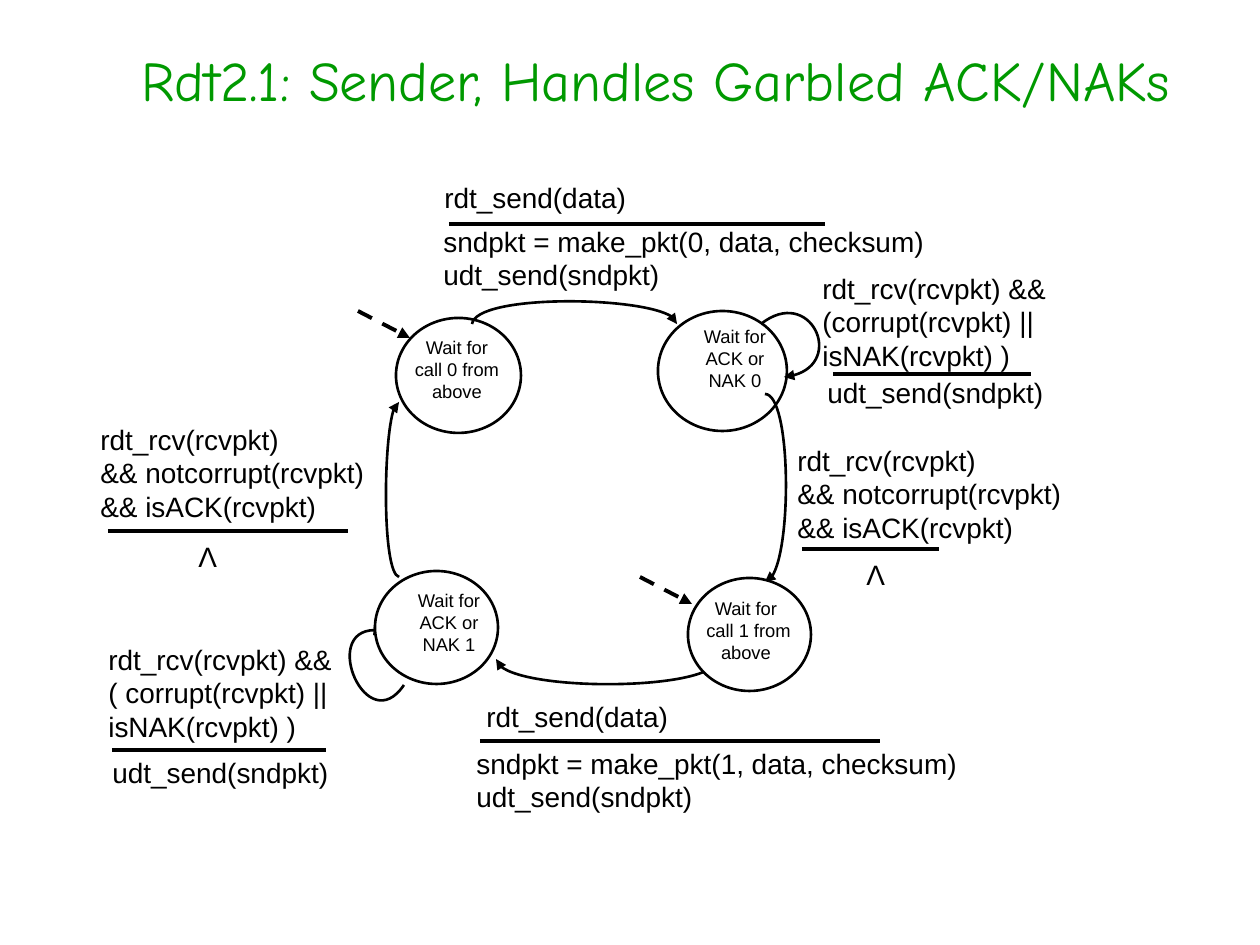
from lxml.etree import SubElement
from pptx import Presentation
from pptx.dml.color import RGBColor
from pptx.enum.dml import MSO_LINE
from pptx.enum.shapes import MSO_CONNECTOR, MSO_SHAPE
from pptx.enum.text import PP_ALIGN
from pptx.oxml.ns import qn
from pptx.util import Inches, Pt

PX = Inches(1) / 126
BLACK = RGBColor(0, 0, 0)
WHITE = RGBColor(255, 255, 255)
GREEN = RGBColor(0, 0x99, 0)


def px(*lengths):
    return [round(length * PX) for length in lengths]


def draw_stroke(stroke, width, arrow=False):
    stroke.line.color.rgb = BLACK
    stroke.line.width = Pt(width)
    properties = stroke._element.spPr
    if arrow:
        SubElement(properties.find(qn("a:ln")), qn("a:tailEnd"), type="triangle")
    SubElement(properties, qn("a:effectLst"))


prs = Presentation()
prs.slide_width, prs.slide_height = px(1260, 945)
slide = prs.slides.add_slide(prs.slide_layouts[5])
shapes = slide.shapes

# Title
title = shapes.title
title.left, title.top, title.width, title.height = px(53, 0, 1207, 158)
title.text_frame.text = "Rdt2.1: Sender, Handles Garbled ACK/NAKs"
heading = title.text_frame.paragraphs[0]
heading.alignment = PP_ALIGN.CENTER
heading.font.name = "Comic Neue"
heading.font.size = Pt(32)
heading.font.color.rgb = GREEN

# States: ellipse, label box, label
first_states = [
    ((396, 318, 125, 115), (399, 330, 116, 84), "Wait for call 0 from above"),
    ((658, 311, 129, 120), (672, 319, 126, 89), "Wait for ACK or NAK 0"),
]
second_states = [
    ((688, 578, 123, 113), (669, 591, 154, 84), "Wait for\n call 1 from above"),
    ((375, 571, 123, 113), (388, 583, 122, 84), "Wait for ACK or NAK 1"),
]
# Transitions: start, two control points, end
transitions = [
    [(472, 324), (476, 294), (677, 296), (677, 324)],  # call 0 to ACK 0
    [(761, 324), (810, 285), (850, 370), (784, 377)],  # ACK 0 to itself
    [(765, 394), (791, 394), (793, 578), (765, 582)],  # ACK 0 to call 1
    [(717, 659), (717, 690), (500, 693), (496, 659)],  # call 1 to ACK 1
    [(404, 685), (367, 740), (315, 619), (384, 631)],  # ACK 1 to itself
    [(399, 577), (382, 573), (383, 402), (399, 402)],  # ACK 1 to call 0
]

# The second pair of states covers the ends of the transitions
for states, curves in ((first_states, transitions), (second_states, [])):
    for outline, label_box, label in states:
        state = shapes.add_shape(MSO_SHAPE.OVAL, *px(*outline))
        state.fill.solid()
        state.fill.fore_color.rgb = WHITE
        draw_stroke(state, 1.5)
        frame = shapes.add_textbox(*px(*label_box)).text_frame
        frame.word_wrap = True
        frame.text = label
        for paragraph in frame.paragraphs:
            paragraph.alignment = PP_ALIGN.CENTER
            paragraph.font.name = "Arial"
            paragraph.font.size = Pt(10.5)
            paragraph.font.color.rgb = BLACK
    for start, *others in curves:
        builder = shapes.build_freeform(*start, scale=PX)
        builder.add_line_segments(others, close=False)
        transition = builder.convert_to_shape()
        transition.fill.background()
        draw_stroke(transition, 1.5, arrow=True)
        # Turn the three segments into one cubic curve
        outline = transition._element.spPr.find(".//" + qn("a:path"))
        segments = outline.findall(qn("a:lnTo"))
        curve = SubElement(outline, qn("a:cubicBezTo"))
        for segment in segments:
            curve.append(segment[0])
            outline.remove(segment)

# Events and actions
RECEIVED_ACK = "rdt_rcv(rcvpkt)\n&& notcorrupt(rcvpkt)\n&& isACK(rcvpkt)"
notes = [
    ((432, 174, 291, 42), "rdt_send(data)"),
    ((431, 218, 509, 55), "sndpkt = make_pkt(0, data, checksum)\nudt_send(sndpkt)"),
    ((810, 265, 353, 78), "rdt_rcv(rcvpkt) &&\n(corrupt(rcvpkt) ||\nisNAK(rcvpkt) )"),
    ((815, 369, 311, 55), "udt_send(sndpkt)"),
    ((785, 437, 413, 78), RECEIVED_ACK),
    ((854, 551, 45, 47), "Λ"),
    ((474, 693, 329, 39), "rdt_send(data)"),
    ((464, 740, 519, 55), "sndpkt = make_pkt(1, data, checksum)\nudt_send(sndpkt)"),
    ((96, 636, 277, 78), "rdt_rcv(rcvpkt) &&\n( corrupt(rcvpkt) ||\nisNAK(rcvpkt) )"),
    ((100, 749, 251, 38), "udt_send(sndpkt)"),
    ((88, 416, 291, 78), RECEIVED_ACK),
    ((186, 533, 45, 47), "Λ"),
]
for box, note in notes:
    frame = shapes.add_textbox(*px(*box)).text_frame
    frame.word_wrap = note != "Λ"
    frame.text = note
    for paragraph in frame.paragraphs:
        paragraph.font.name = "Arial"
        paragraph.font.size = Pt(16)
        paragraph.font.color.rgb = BLACK

# Rules between event and action: left, right, height
for left, right, y in [(449, 825, 224), (833, 1031, 374), (802, 939, 549),
                       (480, 880, 741), (112, 326, 750), (108, 348, 531)]:
    rule = shapes.add_connector(MSO_CONNECTOR.STRAIGHT, *px(left, y, right, y))
    draw_stroke(rule, 2.25)

# Dashed arrows into the two waiting-for-call states
for x, y in [(358, 311), (640, 577)]:
    entry = shapes.add_connector(MSO_CONNECTOR.STRAIGHT, *px(x, y, x + 52, y + 27))
    entry.line.dash_style = MSO_LINE.DASH
    draw_stroke(entry, 2.25, arrow=True)

prs.save("out.pptx")
